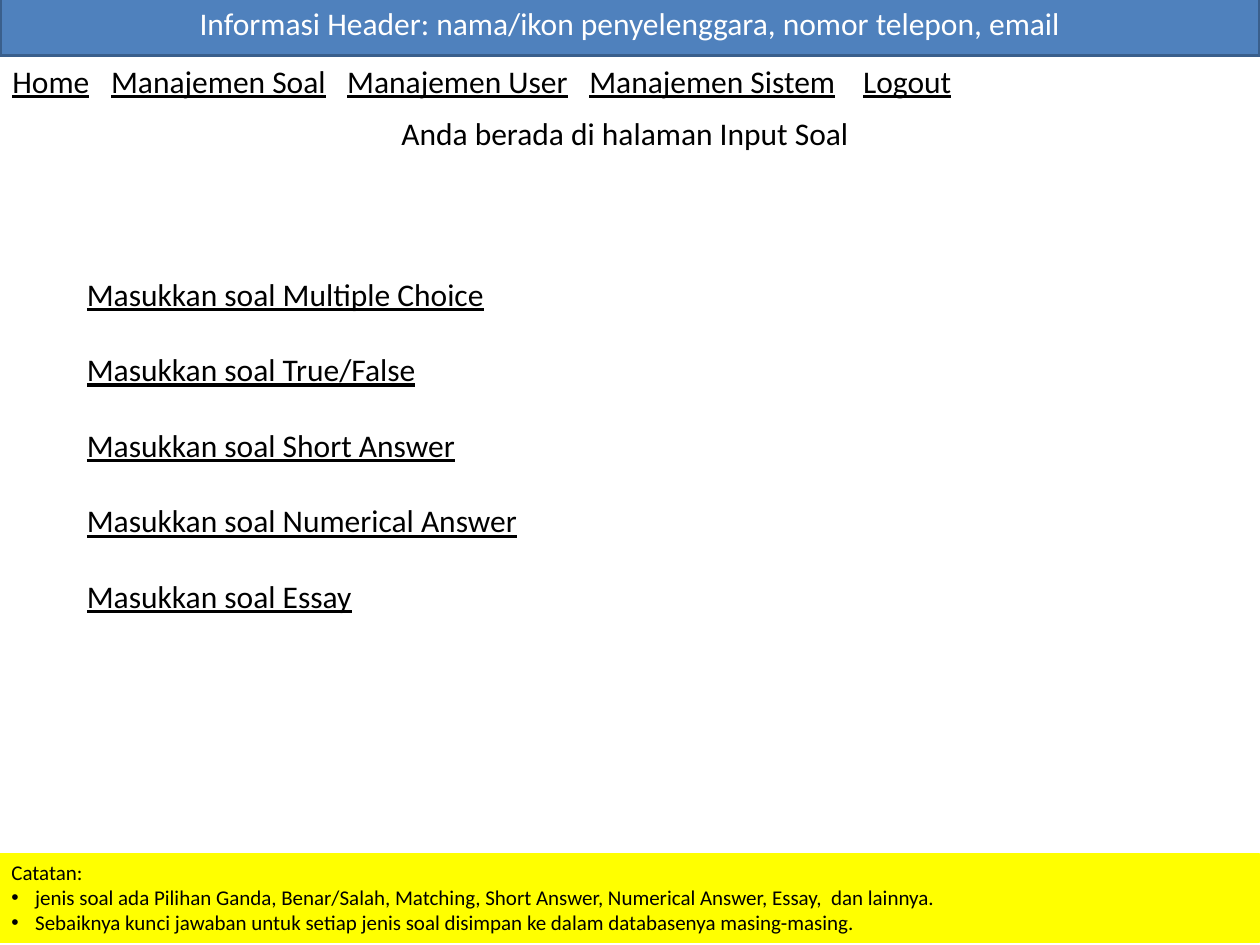
from dataclasses import dataclass

import pptx
import pptx.dml.color
import pptx.enum.shapes
import pptx.enum.text
import pptx.oxml.ns
import pptx.util
from lxml import etree

Cm, Pt = pptx.util.Cm, pptx.util.Pt
ALIGN = pptx.enum.text.PP_ALIGN
ANCHOR = pptx.enum.text.MSO_ANCHOR
FIT = pptx.enum.text.MSO_AUTO_SIZE
RECT = pptx.enum.shapes.MSO_SHAPE.RECTANGLE
WIDE, HIGH = 25.4, 19.05
HEX = {"black": "000000", "white": "FFFFFF", "blue": "4F81BD",
       "edge": "3A5F8C", "yellow": "FFFF00"}


@dataclass
class Box:
    left: float
    top: float
    width: float
    height: float


@dataclass
class Bar:
    box: Box
    fill: str
    edge: str
    line: float


def tint(name: str):
    return pptx.dml.color.RGBColor.from_string(HEX[name])


def place(box: Box) -> list:
    return [Cm(n) for n in (box.left, box.top, box.width, box.height)]


def apply(item, form: dict) -> None:
    for key, value in form.items():
        setattr(item, key, value)


def write(para, text: str, color: str = "black", size: int = 18, under: bool = False) -> None:
    run = para.add_run()
    run.text = text
    apply(run.font, {"name": "Calibri", "size": Pt(size), "underline": under})
    run.font.color.rgb = tint(color)


def add_text(slide, box: Box):
    frame = slide.shapes.add_textbox(*place(box)).text_frame
    apply(frame, {"word_wrap": True, "auto_size": FIT.SHAPE_TO_FIT_TEXT})
    return frame


def add_bar(slide, bar: Bar, form: dict):
    shape = slide.shapes.add_shape(RECT, *place(bar.box))
    shape.shadow.inherit = False
    shape.fill.solid()
    shape.fill.fore_color.rgb = tint(bar.fill)
    shape.line.color.rgb = tint(bar.edge)
    shape.line.width = Pt(bar.line)
    apply(shape.text_frame, {"word_wrap": True, **form})
    return shape.text_frame


def next_para(frame, index: int):
    return frame.add_paragraph() if index else frame.paragraphs[0]


def set_tabs(para, stops: list[float]) -> None:
    tabs = etree.SubElement(para._p.get_or_add_pPr(), pptx.oxml.ns.qn("a:tabLst"))
    for stop in stops:
        etree.SubElement(tabs, pptx.oxml.ns.qn("a:tab"), pos=str(Cm(stop)), algn="l")


def set_bullet(para, indent: float) -> None:
    props = para._p.get_or_add_pPr()
    props.set("marL", str(Cm(indent)))
    props.set("indent", str(-Cm(indent)))
    etree.SubElement(props, pptx.oxml.ns.qn("a:buFont"), typeface="Arial")
    etree.SubElement(props, pptx.oxml.ns.qn("a:buChar"), char="•")


def main() -> None:
    deck = pptx.Presentation()
    apply(deck, {"slide_width": Cm(WIDE), "slide_height": Cm(HIGH)})
    slide = deck.slides.add_slide(deck.slide_layouts[6])

    # Page title
    title = add_text(slide, Box(1.7, 2.18, 21.8, 1.03)).paragraphs[0]
    title.alignment = ALIGN.CENTER
    write(title, "Anda berada di halaman Input Soal")

    # Menu links, set apart by tab stops
    menu = add_text(slide, Box(0, 1.12, WIDE, 1.03)).paragraphs[0]
    set_tabs(menu, [1.99, 6.75, 11.63, 17.15])
    links = ["Home", "Manajemen Soal", "Manajemen User", "Manajemen Sistem", "Logout"]
    for i, link in enumerate(links):
        if i:
            write(menu, "\t")
        write(menu, link, under=True)

    # Question types
    kinds = ["Multiple Choice", "True/False", "Short Answer", "Numerical Answer", "Essay"]
    frame = add_text(slide, Box(1.5, 5.41, 21.8, 7.18))
    for i, kind in enumerate(kinds):
        para = next_para(frame, i)
        if i:
            para.space_before = Pt(21.6)
        write(para, f"Masukkan soal {kind}", under=True)

    # Notes at the foot
    notes = [
        "Catatan:",
        "jenis soal ada Pilihan Ganda, Benar/Salah, Matching, Short Answer, "
        "Numerical Answer, Essay,  dan lainnya.",
        "Sebaiknya kunci jawaban untuk setiap jenis soal disimpan ke dalam "
        "databasenya masing-masing.",
    ]
    foot = Bar(Box(-0.02, 17.2, WIDE, 1.8), "yellow", "yellow", 0.75)
    frame = add_bar(slide, foot, {"vertical_anchor": ANCHOR.TOP,
                                  "auto_size": FIT.SHAPE_TO_FIT_TEXT})
    for i, note in enumerate(notes):
        para = next_para(frame, i)
        para.alignment = ALIGN.LEFT
        if i:
            set_bullet(para, 0.48)
        write(para, note, size=12)

    # Header
    head = Bar(Box(0, -0.2, WIDE, 1.32), "blue", "edge", 2)
    para = add_bar(slide, head, {"vertical_anchor": ANCHOR.MIDDLE}).paragraphs[0]
    para.alignment = ALIGN.CENTER
    write(para, "Informasi Header: nama/ikon penyelenggara, nomor telepon, email", "white")

    deck.save("out.pptx")


if __name__ == "__main__":
    main()
